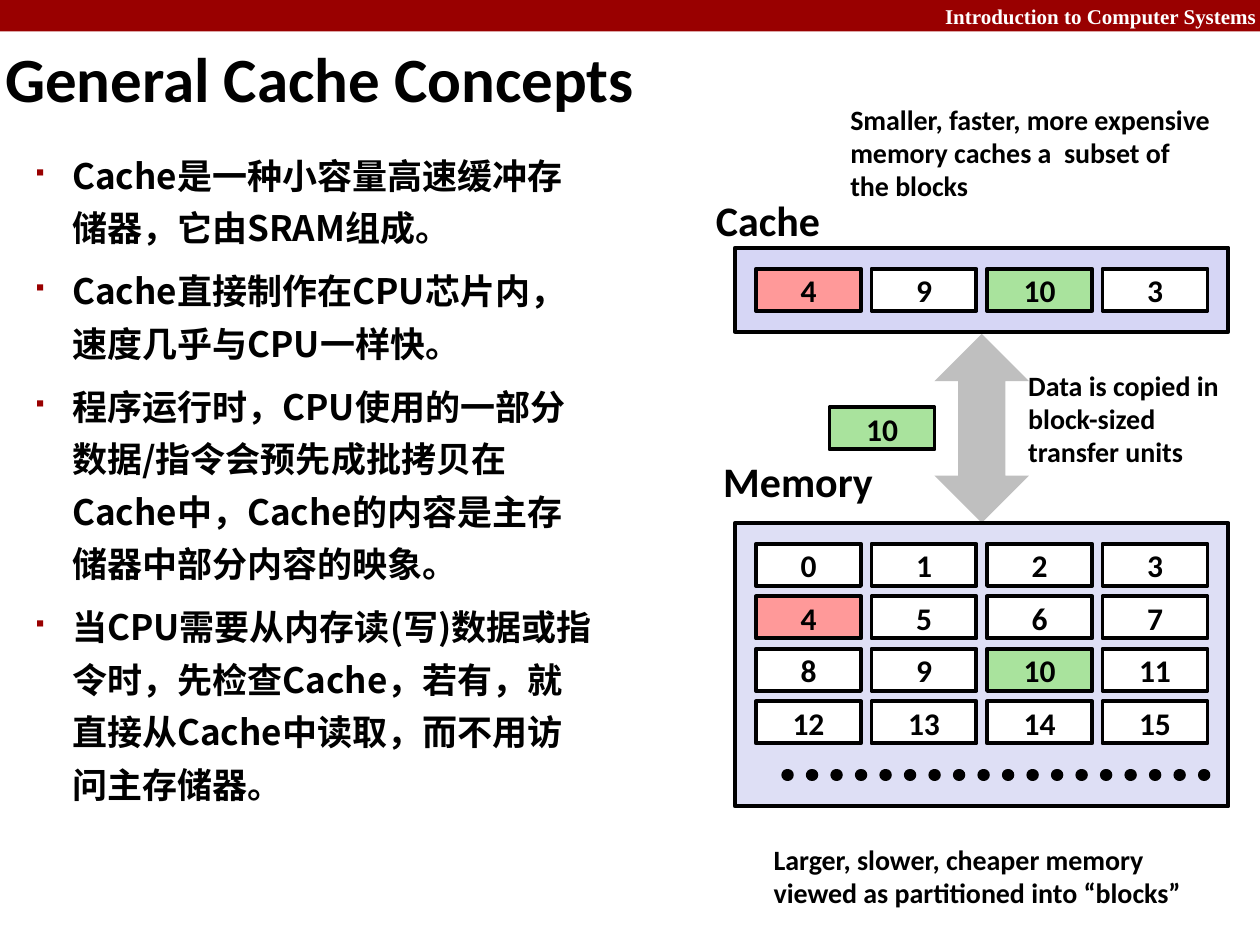
import pptx
import pptx.dml.color
import pptx.enum.dml
import pptx.enum.shapes
import pptx.enum.text
import pptx.oxml
import pptx.oxml.ns
import pptx.util
from lxml import etree

COLORS = {
    "bar": "990000", "text": "000000", "white": "FFFFFF", "arrow": "BFBFBF",
    "cache": "D6D6F5", "memory": "DEDFF5", "red": "FF9999", "green": "A9E39D",
}
BLOCK_COLORS = {4: "red", 10: "green"}
SHAPES = pptx.enum.shapes.MSO_SHAPE
ALIGN = pptx.enum.text.PP_ALIGN
ANCHOR = pptx.enum.text.MSO_ANCHOR

# All lengths are cells of a 120 x 90 grid on the 10 x 7.5 inch slide.
COLS, ROWS = 120, 90
PAD, BLOCK_W, BLOCK_H, GAP = 2, 10, 4, 1

BULLETS = [
    "Cache是一种小容量高速缓冲存储器，它由SRAM组成。",
    "Cache直接制作在CPU芯片内，速度几乎与CPU一样快。",
    "程序运行时，CPU使用的一部分数据/指令会预先成批拷贝在Cache中，Cache的内容是主存储器中部分内容的映象。",
    "当CPU需要从内存读(写)数据或指令时，先检查Cache，若有，就直接从Cache中读取，而不用访问主存储器。",
]


def cells(*values):
    return [pptx.util.Inches(v / 12) for v in values]


def rgb(name):
    return pptx.dml.color.RGBColor.from_string(COLORS[name])


def fill_text(tf, lines, size, color="text", font="Calibri", **para):
    for i, line in enumerate(lines):
        p = tf.paragraphs[0] if i == 0 else tf.add_paragraph()
        for key, value in para.items():
            setattr(p, key, value)
        r = p.add_run()
        r.text = line
        style = {"name": font, "size": pptx.util.Pt(size), "bold": True}
        for key, value in style.items():
            setattr(r.font, key, value)
        r.font.color.rgb = rgb(color)


def add_text(s, box, lines, size, wrap=False, anchor=ANCHOR.TOP, **style):
    tf = s.shapes.add_textbox(*cells(*box)).text_frame
    tf.word_wrap = wrap
    tf.vertical_anchor = anchor
    fill_text(tf, lines, size, **style)
    return tf


def add_note(s, box, lines, wrap=False):
    add_text(s, box, lines, 16, wrap, ANCHOR.MIDDLE, line_spacing=0.98)


def add_box(s, box, fill, outlined=True, kind=SHAPES.RECTANGLE):
    sp = s.shapes.add_shape(kind, *cells(*box))
    sp.shadow.inherit = False
    sp.fill.solid()
    sp.fill.fore_color.rgb = rgb(fill)
    if outlined:
        sp.line.color.rgb = rgb("text")
        sp.line.width = pptx.util.Pt(2.25)
    else:
        sp.line.fill.background()
    return sp


def add_block(s, x, y, number):
    sp = add_box(s, (x, y, BLOCK_W, BLOCK_H), BLOCK_COLORS.get(number, "white"))
    sp.text_frame.vertical_anchor = ANCHOR.MIDDLE
    fill_text(sp.text_frame, [str(number)], 18, alignment=ALIGN.CENTER)


def add_store(s, box, fill, numbers):
    """Panel with its numbered blocks, four to a row."""
    add_box(s, box, fill)
    x, y = box[:2]
    for i, number in enumerate(numbers):
        row, col = divmod(i, 4)
        add_block(s, x + PAD + col * (BLOCK_W + GAP),
                  y + PAD + row * (BLOCK_H + GAP), number)


def add_header(s, box):
    x, y, w, h = box
    add_box(s, box, "bar", outlined=False)
    add_text(s, (x + 0.6 * w, y - 0.3, 0.407 * w, h + 0.6),
             ["Introduction to Computer Systems"], 12, wrap=True,
             color="white", font="Times New Roman", alignment=ALIGN.RIGHT)


def add_bullets(s, box):
    font = "Noto Sans CJK SC"
    tf = add_text(s, box, BULLETS, 20, wrap=True, font=font, line_spacing=1.25)
    ns = pptx.oxml.ns.qn
    indent = pptx.util.Inches(0.29)
    for i, p in enumerate(tf.paragraphs):
        p.space_before = pptx.util.Pt(6 if i else 0)
        pPr = p._p.get_or_add_pPr()
        pPr.set("marL", str(indent))
        pPr.set("indent", str(-indent))
        color = etree.SubElement(pPr, ns("a:buClr"))
        etree.SubElement(color, ns("a:srgbClr"), val=COLORS["bar"])
        etree.SubElement(pPr, ns("a:buSzPct"), val="60000")
        etree.SubElement(pPr, ns("a:buFont"), typeface="Wingdings", charset="2")
        etree.SubElement(pPr, ns("a:buChar"), char="§")
        rPr = p.runs[0].font._element
        etree.SubElement(rPr, ns("a:ea"), typeface=font)


def add_cache(s, box):
    x, y, w, h = box
    add_store(s, box, "cache", [4, 9, 10, 3])
    add_text(s, (x - 3, y - 5.7, 12.5, 6), ["Cache"], 24)
    add_note(s, (x + 9.8, y - 14.3, 38.5, 10.7),
             ["Smaller, faster, more expensive", "memory caches a  subset of", "the blocks"])


def add_memory(s, box):
    x, y, w, h = box
    add_store(s, box, "memory", range(16))
    dots_y = y + h - 3
    dots = s.shapes.add_connector(pptx.enum.shapes.MSO_CONNECTOR.STRAIGHT,
                                  *cells(x + 5, dots_y, x + w - PAD, dots_y))
    dots.line.color.rgb = rgb("text")
    dots.line.width = pptx.util.Pt(7)
    dots.line.dash_style = pptx.enum.dml.MSO_LINE.ROUND_DOT
    dots._element.spPr.find(pptx.oxml.ns.qn("a:ln")).set("cap", "rnd")
    etree.SubElement(dots._element.spPr, pptx.oxml.ns.qn("a:effectLst"))
    add_text(s, (x - 2.3, y - 7, 16.8, 6), ["Memory"], 24)
    add_note(s, (x + 2.5, y + h + 2.9, 42, 7.6),
             ["Larger, slower, cheaper memory", "viewed as partitioned into “blocks”"])


def add_transfer(s, box):
    """Arrow between the stores, with the block in transit and a note."""
    x, y, w, h = box
    add_box(s, box, "arrow", outlined=False, kind=SHAPES.UP_DOWN_ARROW)
    add_block(s, x - BLOCK_W, y + 7, 10)
    add_note(s, (x + w - 1.25, y + 2.8, 23.3, 10.7),
             ["Data is copied in block-sized transfer units"], wrap=True)


def main():
    prs = pptx.Presentation()
    prs.slide_width, prs.slide_height = cells(COLS, ROWS)
    s = prs.slides.add_slide(prs.slide_layouts[6])
    add_header(s, (0, 0, COLS, 3))
    add_text(s, (-0.7, 2.4, 99.6, 10), ["General Cache Concepts"], 36,
             wrap=True, anchor=ANCHOR.MIDDLE)
    add_bullets(s, (2.2, 13.1, 55.7, 64.8))
    add_transfer(s, (89, 31.8, 9, 18))
    add_cache(s, (70, 23.6, 47, 8))
    add_memory(s, (70, 49.8, 47, 27))
    prs.save("out.pptx")


if __name__ == "__main__":
    main()
